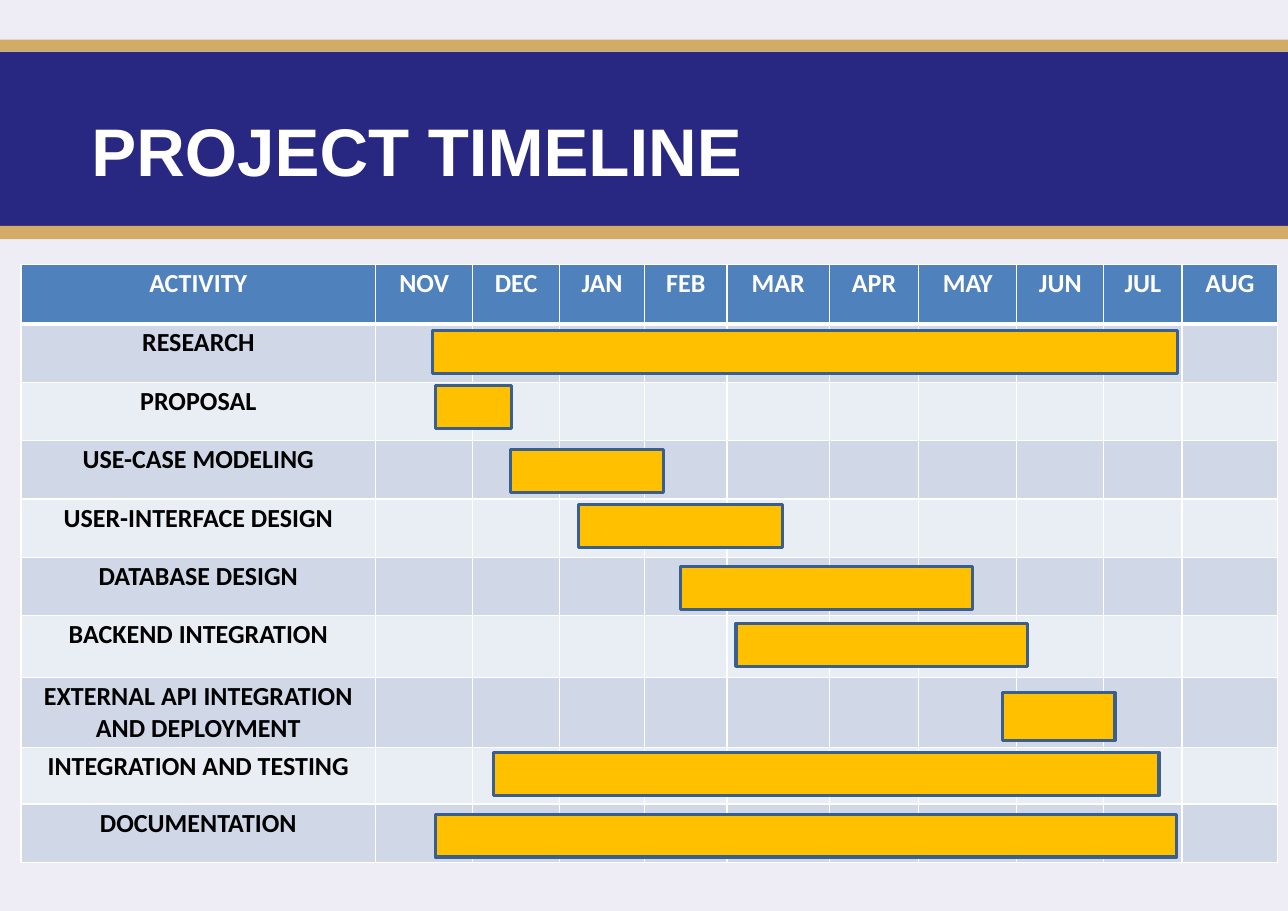
from dataclasses import dataclass

from lxml import etree
from pptx import Presentation
from pptx.dml.color import RGBColor
from pptx.enum.shapes import MSO_SHAPE
from pptx.enum.text import MSO_ANCHOR, MSO_AUTO_SIZE, PP_ALIGN
from pptx.oxml.ns import qn
from pptx.shapes.autoshape import Shape
from pptx.slide import Slide
from pptx.table import _Cell
from pptx.util import Inches, Pt

RECTANGLE = MSO_SHAPE.RECTANGLE
TOP = MSO_ANCHOR.TOP
NO_AUTOFIT = MSO_AUTO_SIZE.NONE
LEFT = PP_ALIGN.LEFT
CENTER = PP_ALIGN.CENTER

WHITE = RGBColor(0xFF, 0xFF, 0xFF)
BLACK = RGBColor(0x00, 0x00, 0x00)
LAVENDER = RGBColor(0xEE, 0xED, 0xF6)
NAVY = RGBColor(0x28, 0x27, 0x81)
GOLD = RGBColor(0xD2, 0xAB, 0x67)
HEADER_BLUE = RGBColor(0x4F, 0x81, 0xBD)
DARK_ROW = RGBColor(0xD0, 0xD8, 0xE8)
LIGHT_ROW = RGBColor(0xE9, 0xED, 0xF4)
AMBER = RGBColor(0xFF, 0xC0, 0x00)
BAR_OUTLINE = RGBColor(0x3A, 0x5F, 0x8C)

SLIDE_WIDTH = 11.69
SLIDE_HEIGHT = 8.27
TITLE_LAYOUT = 5
HEADINGS = ["ACTIVITY", "NOV", "DEC", "JAN", "FEB", "MAR",
            "APR", "MAY", "JUN", "JUL", "AUG"]
COLUMN_WIDTHS = [3.22, 0.88, 0.79, 0.77, 0.75, 0.93,
                 0.81, 0.89, 0.79, 0.71, 0.87]
HEADER_HEIGHT = 0.54


@dataclass(frozen=True)
class Band:
    top: float
    height: float
    color: RGBColor


@dataclass(frozen=True)
class Activity:
    name: str
    bar_left: float
    bar_top: float
    bar_width: float
    bar_height: float = 0.39
    row_height: float = 0.53


BANDS = [
    Band(0.36, 0.11, GOLD),
    Band(0.47, 1.58, NAVY),
    Band(2.05, 0.12, GOLD),
]

ACTIVITIES = [
    Activity("RESEARCH", 3.93, 3, 6.76),
    Activity("PROPOSAL", 3.95, 3.5, 0.69),
    Activity("USE-CASE MODELING", 4.63, 4.08, 1.39),
    Activity("USER-INTERFACE DESIGN", 5.25, 4.58, 1.85),
    Activity("DATABASE DESIGN", 6.18, 5.14, 2.65),
    Activity("BACKEND INTEGRATION", 6.68, 5.66, 2.65, row_height=0.56),
    Activity("EXTERNAL API INTEGRATION AND DEPLOYMENT", 9.1, 6.29, 1.02,
             bar_height=0.43, row_height=0.64),
    Activity("INTEGRATION AND TESTING", 4.48, 6.83, 6.04, row_height=0.51),
    Activity("DOCUMENTATION", 3.95, 7.39, 6.73),
]


def add_rectangle(slide: Slide, left: float, top: float, width: float,
                  height: float, color: RGBColor) -> Shape:
    shape = slide.shapes.add_shape(
        RECTANGLE, Inches(left), Inches(top), Inches(width), Inches(height))
    shape.shadow.inherit = False
    shape.fill.solid()
    shape.fill.fore_color.rgb = color
    shape.line.fill.background()
    return shape


def add_band(slide: Slide, band: Band) -> None:
    add_rectangle(slide, 0, band.top, SLIDE_WIDTH, band.height, band.color)


def add_bar(slide: Slide, activity: Activity) -> None:
    bar = add_rectangle(slide, activity.bar_left, activity.bar_top,
                        activity.bar_width, activity.bar_height, AMBER)
    bar.line.color.rgb = BAR_OUTLINE
    bar.line.width = Pt(2)


def set_borders(cell: _Cell, row: int) -> None:
    properties = cell._tc.get_or_add_tcPr()
    widths = {"a:lnL": 1, "a:lnR": 1,
              "a:lnT": 3 if row == 1 else 1, "a:lnB": 3 if row == 0 else 1}
    for tag, width in widths.items():
        line = etree.SubElement(properties, qn(tag), w=str(Pt(width)))
        fill = etree.SubElement(line, qn("a:solidFill"))
        etree.SubElement(fill, qn("a:srgbClr"), val=str(WHITE))


def format_cell(cell: _Cell, row: int, text: str) -> None:
    set_borders(cell, row)
    cell.fill.solid()
    if row == 0:
        cell.fill.fore_color.rgb = HEADER_BLUE
    else:
        cell.fill.fore_color.rgb = DARK_ROW if row % 2 else LIGHT_ROW
    cell.margin_left = cell.margin_right = Inches(0.06)
    cell.margin_top = cell.margin_bottom = Inches(0.03)
    cell.text = text
    paragraph = cell.text_frame.paragraphs[0]
    paragraph.alignment = CENTER
    paragraph.font.name = "Calibri"
    paragraph.font.size = Pt(17)
    paragraph.font.bold = True
    paragraph.font.color.rgb = BLACK if row else WHITE


def add_timeline_table(slide: Slide) -> None:
    row_heights = [HEADER_HEIGHT] + [item.row_height for item in ACTIVITIES]
    texts = [HEADINGS] + [
        [item.name] + [""] * (len(HEADINGS) - 1) for item in ACTIVITIES]
    table = slide.shapes.add_table(
        len(texts), len(HEADINGS), Inches(0.19), Inches(2.4),
        Inches(sum(COLUMN_WIDTHS)), Inches(sum(row_heights))).table
    table.horz_banding = False
    for column, width in zip(table.columns, COLUMN_WIDTHS):
        column.width = Inches(width)
    for row, height in zip(table.rows, row_heights):
        row.height = Inches(height)
    for row_index, row_texts in enumerate(texts):
        for column_index, text in enumerate(row_texts):
            format_cell(table.cell(row_index, column_index), row_index, text)


def place_title(slide: Slide) -> None:
    title = slide.shapes.title
    title.left, title.top = Inches(0.73), Inches(0.94)
    title.width, title.height = Inches(6.17), Inches(0.84)
    frame = title.text_frame
    frame.text = "PROJECT TIMELINE"
    frame.word_wrap = False
    frame.auto_size = NO_AUTOFIT
    frame.vertical_anchor = TOP
    paragraph = frame.paragraphs[0]
    paragraph.alignment = LEFT
    paragraph.font.name = "Arial"
    paragraph.font.size = Pt(44)
    paragraph.font.bold = True
    paragraph.font.color.rgb = WHITE
    title.element.getparent().append(title.element)


def main() -> None:
    presentation = Presentation()
    presentation.slide_width = Inches(SLIDE_WIDTH)
    presentation.slide_height = Inches(SLIDE_HEIGHT)
    slide = presentation.slides.add_slide(
        presentation.slide_layouts[TITLE_LAYOUT])
    slide.background.fill.solid()
    slide.background.fill.fore_color.rgb = LAVENDER
    for band in BANDS:
        add_band(slide, band)
    add_timeline_table(slide)
    for activity in ACTIVITIES:
        add_bar(slide, activity)
    place_title(slide)
    presentation.save("out.pptx")


if __name__ == "__main__":
    main()
